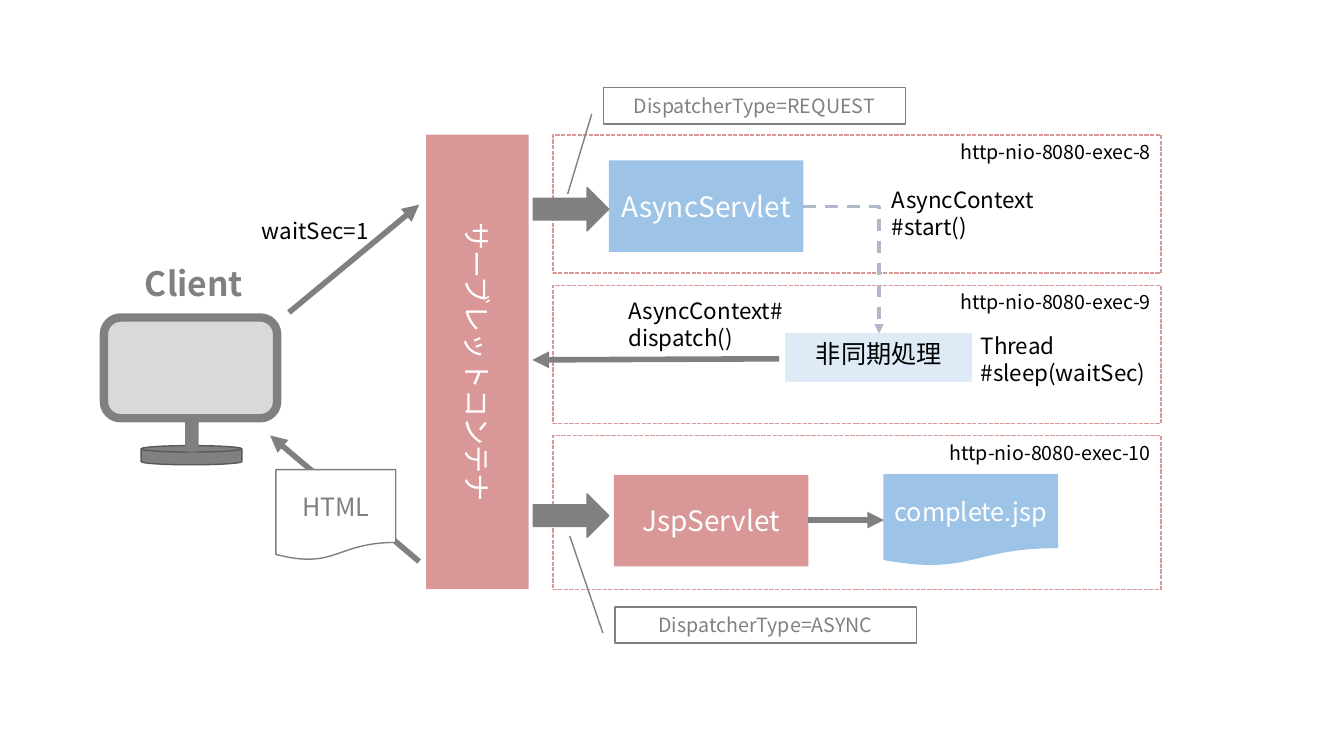
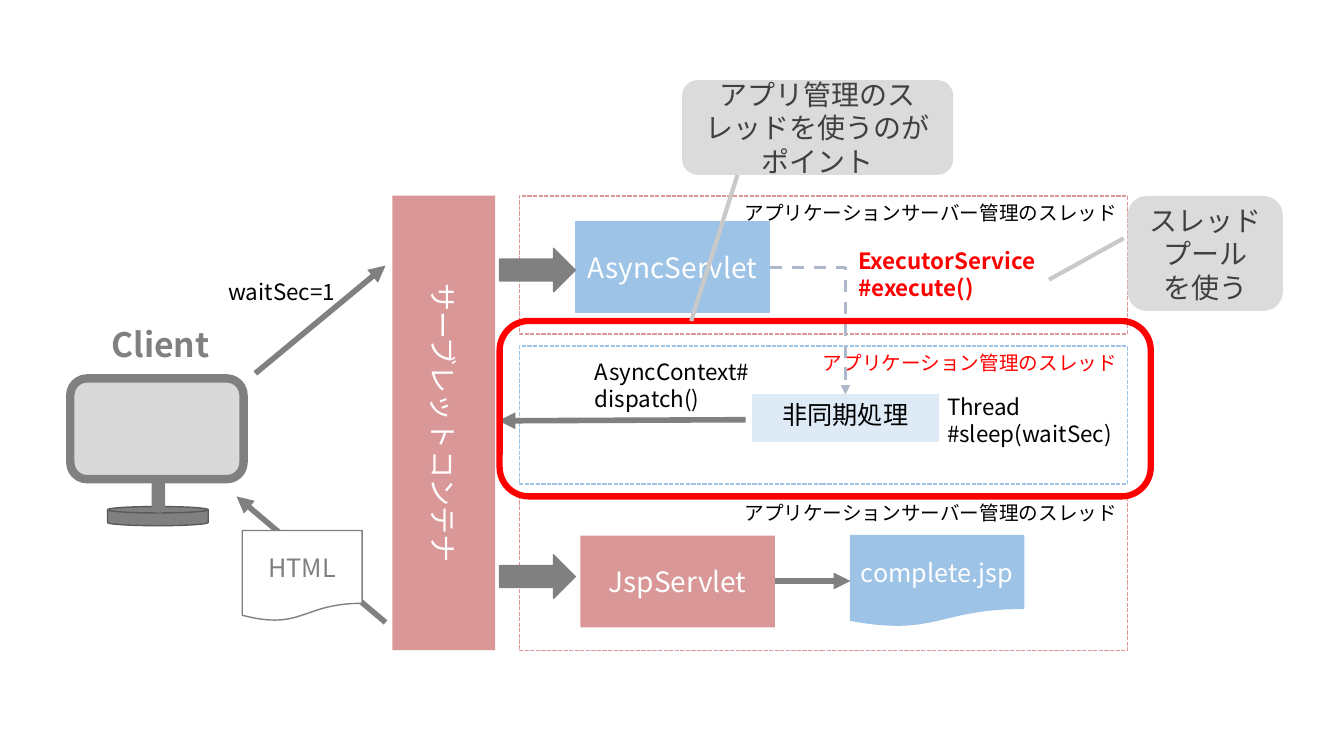
import pptx
import pptx.util
import pptx.dml.color
import pptx.enum.dml
import pptx.enum.shapes
import pptx.enum.text
import pptx.oxml.ns
import lxml.etree

Pt = pptx.util.Pt
qn = pptx.oxml.ns.qn
SHAPE = pptx.enum.shapes.MSO_SHAPE
CONNECTOR = pptx.enum.shapes.MSO_CONNECTOR
DASH = pptx.enum.dml.MSO_LINE
ALIGN = pptx.enum.text.PP_ALIGN
ANCHOR = pptx.enum.text.MSO_ANCHOR

FONT = "Noto Sans CJK JP"
COLORS = {
    "white": "FFFFFF", "black": "000000", "gray": "808080", "screen": "D9D9D9",
    "edge": "595959", "rose": "D99897", "blue": "9DC3E6", "pale": "DEEBF7",
    "steel": "ADB9CA", "red": "FF0000", "note": "DBDBDB", "pointer": "C9C9C9",
    "ink": "404040",
}
LANE_LEFT, LANE_WIDTH, LANE_STEP = 320.8, 434.2, 107.3
LANE_HEIGHTS = (98.6, 98.6, 110.2)
SERVLET_SIZE = (139, 65.5)
DOCUMENT_TOP, DOCUMENT_HEIGHT = 242.6, 64.8


def color(name):
    return pptx.dml.color.RGBColor.from_string(COLORS[name])


def write(shape, text, size, ink, align=ALIGN.CENTER, bold=False):
    shape.text_frame.text = text
    for para in shape.text_frame.paragraphs:
        para.alignment = align
        for span in para.runs:
            span.font.name = FONT
            span.font.size = Pt(size)
            span.font.bold = bold
            span.font.color.rgb = color(ink)
            east = lxml.etree.SubElement(span.font._element, qn("a:ea"))
            east.set("typeface", FONT)


def draw(page, box, kind, left, top, width, height, fill=None, line=None, weight=1):
    shape = page.shapes.add_shape(
        kind, Pt(box[0] + left), Pt(box[1] + top), Pt(width), Pt(height))
    shape.shadow.inherit = False
    if fill:
        shape.fill.solid()
        shape.fill.fore_color.rgb = color(fill)
    else:
        shape.fill.background()
    if line:
        shape.line.color.rgb = color(line)
        shape.line.width = Pt(weight)
    else:
        shape.line.fill.background()
    return shape


def label(page, box, left, top, width, height, text, size=16, ink="black", bold=False):
    area = page.shapes.add_textbox(
        Pt(box[0] + left), Pt(box[1] + top), Pt(width), Pt(height))
    area.text_frame.word_wrap = False
    write(area, text, size, ink, ALIGN.LEFT, bold)


def connect(page, box, start, end, ink="gray", weight=4, arrow=True, bent=False):
    left, top = box
    link = page.shapes.add_connector(
        CONNECTOR.ELBOW if bent else CONNECTOR.STRAIGHT,
        Pt(left + start[0]), Pt(top + start[1]), Pt(left + end[0]), Pt(top + end[1]))
    link.line.color.rgb = color(ink)
    link.line.width = Pt(weight)
    properties = link._element.spPr
    if bent:
        link.line.dash_style = DASH.DASH
        properties.find(qn("a:prstGeom")).set("prst", "bentConnector2")
    if arrow:
        tip = lxml.etree.SubElement(properties.find(qn("a:ln")), qn("a:tailEnd"))
        tip.set("type", "triangle")
    lxml.etree.SubElement(properties, qn("a:effectLst"))


def draw_client(page, box):
    draw(page, box, SHAPE.ROUNDED_RECTANGLE, 0, 130.3, 123.8, 72, "screen", "gray", 6)
    draw(page, box, SHAPE.FLOWCHART_MAGNETIC_DISK, 26.6, 221.8, 72, 13.7, "gray", "edge")
    neck = draw(page, box, SHAPE.ROUNDED_RECTANGLE, 52.4, 211, 20.9, 3.6, "screen", "gray", 6)
    neck.rotation = 90
    label(page, box, 22.3, 87.8, 84.2, 36, "Client", 24, "gray", True)


def draw_lanes(page, box, lanes):
    for index, (text, ink, border) in enumerate(lanes):
        lane = draw(page, box, SHAPE.RECTANGLE, LANE_LEFT, index * LANE_STEP,
                    LANE_WIDTH, LANE_HEIGHTS[index], line=border)
        lane.line.dash_style = DASH.SQUARE_DOT
        lane.line._ln.find(qn("a:prstDash")).set("val", "sysDash")
        lane.text_frame.vertical_anchor = ANCHOR.TOP
        write(lane, text, 14, ink, ALIGN.RIGHT)


def draw_server(page, box, lanes, starter, starter_width, starter_ink, starter_bold):
    container = draw(page, box, SHAPE.RECTANGLE, 104.4, 125.3, 324.7, 73.4, "rose")
    container.rotation = 90
    write(container, "サーブレットコンテナ", 20, "white")
    for text, left, top, fill in (("AsyncServlet", 360.7, 18, "blue"),
                                  ("JspServlet", 364.3, DOCUMENT_TOP, "rose")):
        servlet = draw(page, box, SHAPE.RECTANGLE, left, top, *SERVLET_SIZE, fill)
        write(servlet, text, 20, "white")
    draw_lanes(page, box, lanes)
    task = draw(page, box, SHAPE.RECTANGLE, 487.4, 141.8, 132.5, 33.8, "pale", "pale")
    task.text_frame.vertical_anchor = ANCHOR.TOP
    write(task, "非同期処理", 18, "black")
    connect(page, box, (499.7, 51.1), (553.7, 141.8), "steel", 2.25, bent=True)
    result = draw(page, box, SHAPE.FLOWCHART_DOCUMENT, 557.3, DOCUMENT_TOP,
                  123.8, DOCUMENT_HEIGHT, "blue", "blue")
    write(result, "complete.jsp", 18, "white")
    for top in (37.4, 256.3):
        draw(page, box, SHAPE.RIGHT_ARROW, 306.7, top, 54, 31, "gray", "gray")
    connect(page, box, (482.4, 159.8), (306, 160.6))
    connect(page, box, (503.3, 275), (557.3, 275))
    label(page, box, 555.8, 33.1, starter_width, 46, starter, 16, starter_ink, starter_bold)
    label(page, box, 367.7, 112.3, 126, 46, "AsyncContext#\ndispatch()")
    label(page, box, 619.2, 137.5, 134.6, 46, "Thread\n#sleep(waitSec)")


def draw_exchange(page, box):
    connect(page, box, (132.2, 126.7), (225.2, 49.7))
    connect(page, box, (225.2, 304.6), (118.8, 214.6))
    reply = draw(page, box, SHAPE.FLOWCHART_DOCUMENT, 122.8, 239,
                 85.7, DOCUMENT_HEIGHT, "white", "gray")
    write(reply, "HTML", 18, "gray")
    label(page, box, 105.8, 55.4, 94.3, 26.6, "waitSec=1")


def draw_dispatch_types(page, box):
    for text, left, top, tip in (
            ("DispatcherType=REQUEST", 357.1, -33.8, (2.93, -0.12)),
            ("DispatcherType=ASYNC", 365, 337, (-1.96, -0.15))):
        callout = draw(page, box, SHAPE.LINE_CALLOUT_1, left, top, 215.3, 25.9, line="gray")
        for index, value in enumerate((0.72, -0.04) + tip):
            callout.adjustments[index] = value
        write(callout, text, 14, "gray")


def draw_notes(page, box):
    draw(page, box, SHAPE.ROUNDED_RECTANGLE, 306.7, 89.3, 465.1, 125.3, None, "red", 4.5)
    for text, frame, start, end in (
            ("アプリ管理のスレッドを使うのがポイント", (437, -82.8, 193.7, 67.7),
             (476.6, -15.1), (443.5, 89.3)),
            ("スレッドプール\nを使う", (755.3, 0, 110.9, 82.1),
             (752.4, 30.2), (699.1, 59.8))):
        connect(page, box, start, end, "pointer", 3, arrow=False)
        note = draw(page, box, SHAPE.ROUNDED_RECTANGLE, *frame, "note")
        write(note, text, 20, "ink")


def build_flow(deck, box, lanes, starter, annotate):
    page = deck.slides.add_slide(deck.slide_layouts[6])
    draw_client(page, box)
    draw_server(page, box, lanes, *starter)
    draw_exchange(page, box)
    annotate(page, box)


deck = pptx.Presentation()
deck.slide_width, deck.slide_height = Pt(960), Pt(540)
build_flow(
    deck, (74.2, 96.5),
    [(f"http-nio-8080-exec-{number}", "black", "rose") for number in (8, 9, 10)],
    ("AsyncContext\n#start()", 116.6, "black", False), draw_dispatch_types)
server_lane = ("アプリケーションサーバー管理のスレッド", "black", "rose")
build_flow(
    deck, (50.2, 140),
    [server_lane, ("アプリケーション管理のスレッド", "red", "blue"), server_lane],
    ("ExecutorService\n#execute()", 141.8, "red", True), draw_notes)
deck.save("out.pptx")
